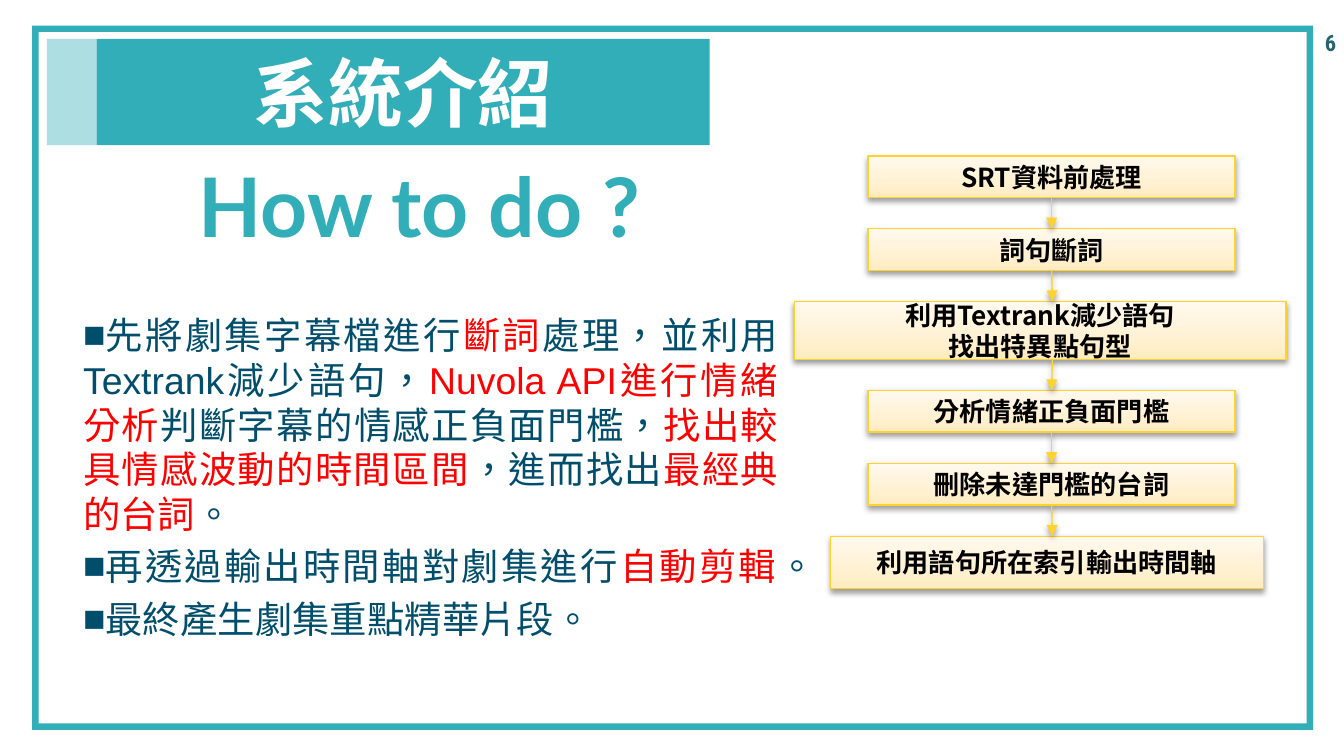
"""Build the system overview slide with its processing flow."""
from pptx import Presentation, oxml, util as u
from pptx.dml.color import RGBColor
from pptx.enum import shapes, text
from pptx.oxml import ns

TEAL = RGBColor(0x32, 0xAE, 0xB8)
DEEP = RGBColor(0x26, 0x65, 0x6C)
NAVY = RGBColor(0x00, 0x4E, 0x6C)
RED = RGBColor(0xFF, 0x00, 0x00)
GOLD = RGBColor(0xFE, 0xD3, 0x2B)
WHITE = RGBColor(0xFF, 0xFF, 0xFF)
BLACK = RGBColor(0x00, 0x00, 0x00)
STOPS = ((0, RGBColor(0xFF, 0xEB, 0xBE)), (35, RGBColor(0xFF, 0xF1, 0xD2)),
         (100, RGBColor(0xFF, 0xF9, 0xEE)))
CJK = "Noto Sans CJK SC"

AXIS, TOP, LAST = 7.83, 1.16, 3.99
STEPS = [
    (6.46, 2.73, 0.31, ["SRT資料前處理"]),
    (6.46, 2.73, 0.31, ["詞句斷詞"]),
    (5.91, 3.66, 0.43, ["利用Textrank減少語句", "找出特異點句型"]),
    (6.46, 2.73, 0.31, ["分析情緒正負面門檻"]),
    (6.46, 2.73, 0.31, ["刪除未達門檻的台詞"]),
    (6.18, 3.22, 0.39, ["利用語句所在索引輸出時間軸"]),
]
BODY = [
    [("先將劇集字幕檔進行", NAVY), ("斷詞", RED),
     ("處理，並利用Textrank減少語句，", NAVY),
     ("Nuvola API進行情緒分析", RED),
     ("判斷字幕的情感正負面門檻，", NAVY),
     ("找出較具情感波動的時間區間", RED), ("，進而找出", NAVY),
     ("最經典的台詞", RED), ("。", NAVY)],
    [("再透過輸出時間軸對劇集進行", NAVY), ("自動剪輯", RED), ("。", NAVY)],
    [("最終產生劇集重點精華片段。", NAVY)],
]


def node(xml):
    """Turn a short drawing snippet into an element."""
    return oxml.parse_xml(xml.replace(" ", f" {ns.nsdecls('a')} ", 1))


def add_run(para, words, font, size, color, bold=True):
    """Add one styled run to a paragraph."""
    run = para.add_run()
    run.text = words
    run.font.name, run.font.size = font, u.Pt(size)
    run.font.bold, run.font.color.rgb = bold, color
    props = run.font._element
    props.set("lang", "zh-TW")
    if font == CJK:
        props.find(ns.qn("a:latin")).addnext(node(f'<a:ea typeface="{CJK}"/>'))


def add_text(slide, box, anchor=text.MSO_ANCHOR.TOP, wrap=True):
    """Add an empty text box and return its frame."""
    frame = slide.shapes.add_textbox(*map(u.Inches, box)).text_frame
    frame.word_wrap, frame.vertical_anchor = wrap, anchor
    return frame


def add_block(slide, kind, box, color=None):
    """Add a borderless shape with an optional solid fill."""
    block = slide.shapes.add_shape(kind, *map(u.Inches, box))
    block.shadow.inherit = False
    block.line.fill.background()
    if color is not None:
        block.fill.solid()
        block.fill.fore_color.rgb = color
    return block


def add_label(block, lines, size, color):
    """Centre bold lines inside a shape."""
    frame = block.text_frame
    frame.word_wrap, frame.vertical_anchor = True, text.MSO_ANCHOR.MIDDLE
    for i, words in enumerate(lines):
        para = frame.add_paragraph() if i else frame.paragraphs[0]
        para.alignment = text.PP_ALIGN.CENTER
        add_run(para, words, CJK, size, color)


def add_glow(props):
    """Put a soft lower shadow on shape properties."""
    old = props.find(ns.qn("a:effectLst"))
    if old is not None:
        props.remove(old)
    props.append(node(
        f'<a:effectLst ><a:outerShdw blurRad="{u.Pt(3.1)}" dist="{u.Pt(1.6)}" '
        'dir="5400000" rotWithShape="0"><a:srgbClr val="000000">'
        '<a:alpha val="38000"/></a:srgbClr></a:outerShdw></a:effectLst>'))


def add_step(slide, top, left, width, height, lines):
    """Add one box of the flow."""
    step = add_block(slide, shapes.MSO_SHAPE.RECTANGLE, (left, top, width, height))
    props = step._element.spPr
    stops = "".join(f'<a:gs pos="{at * 1000}"><a:srgbClr val="{color}"/></a:gs>'
                    for at, color in STOPS)
    props.find(ns.qn("a:prstGeom")).addnext(node(
        f'<a:gradFill rotWithShape="1"><a:gsLst>{stops}</a:gsLst>'
        '<a:lin ang="16200000" scaled="0"/></a:gradFill>'))
    step.line.color.rgb, step.line.width = GOLD, u.Pt(0.75)
    add_glow(props)
    add_label(step, lines, 14, BLACK)
    return step


def add_arrow(slide, start, end):
    """Link two steps along the axis, joined where a side's middle is on it."""
    axis = u.Inches(AXIS)
    arrow = slide.shapes.add_connector(
        shapes.MSO_CONNECTOR.STRAIGHT, axis, start.top + start.height, axis, end.top)
    for step, join, side in ((start, arrow.begin_connect, 2), (end, arrow.end_connect, 0)):
        if abs(step.left + step.width / 2 - axis) < u.Inches(0.01):
            join(step, side)
    arrow.line.color.rgb, arrow.line.width = GOLD, u.Pt(0.75)
    arrow.line._ln.append(node('<a:tailEnd type="triangle"/>'))
    add_glow(arrow._element.spPr)


def add_flow(slide):
    """Stack the steps with equal gaps and link them."""
    tall = sum(height for _, _, height, _ in STEPS[:-1])
    gap = (LAST - TOP - tall) / (len(STEPS) - 1)
    top, last = TOP, None
    for left, width, height, lines in STEPS:
        step = add_step(slide, top, left, width, height, lines)
        if last is not None:
            add_arrow(slide, last, step)
        top, last = top + height + gap, step


def add_body(slide):
    """Add the justified bullet text."""
    frame = add_text(slide, (0.52, 2.01, 5.37, 3.07), text.MSO_ANCHOR.MIDDLE)
    for i, runs in enumerate(BODY):
        para = frame.add_paragraph() if i else frame.paragraphs[0]
        para.alignment = text.PP_ALIGN.JUSTIFY
        if i:
            para.space_before = u.Pt(4)
        props = para._p.get_or_add_pPr()
        props.append(node('<a:buFont typeface="Arial"/>'))
        props.append(node('<a:buChar char="■"/>'))
        for words, color in runs:
            add_run(para, words, "Arial", 20, color, False)


def add_head(slide):
    """Add the frame, title band, subtitle and page number."""
    rect = shapes.MSO_SHAPE.RECTANGLE
    border = add_block(slide, shapes.MSO_SHAPE.FRAME, (0.24, 0.19, 9.53, 5.24), TEAL)
    border.adjustments[0] = 0.009
    band = add_block(slide, rect, (0.72, 0.29, 4.56, 0.79), TEAL)
    add_label(band, ["系統介紹"], 40, WHITE)
    tab = add_block(slide, rect, (0.35, 0.29, 0.37, 0.79), TEAL)
    tint = tab._element.spPr.find(ns.qn("a:solidFill"))[0]
    tint.append(node('<a:alpha val="40000"/>'))
    sub = add_text(slide, (1.38, 1.11, 3.9, 0.84), wrap=False)
    add_run(sub.paragraphs[0], "How to do ?", "Lato", 44, TEAL)
    page = add_text(slide, (8.41, 0.14, 1.63, 0.35), text.MSO_ANCHOR.MIDDLE)
    page.paragraphs[0].alignment = text.PP_ALIGN.RIGHT
    add_run(page.paragraphs[0], "6", "Roboto Condensed", 12, DEEP)


def main():
    """Build and save the slide."""
    deck = Presentation()
    deck.slide_width = u.Inches(10)
    deck.slide_height = deck.slide_width * 9 // 16
    slide = deck.slides.add_slide(deck.slide_layouts[6])
    add_head(slide)
    add_body(slide)
    add_flow(slide)
    deck.save("out.pptx")


if __name__ == "__main__":
    main()
